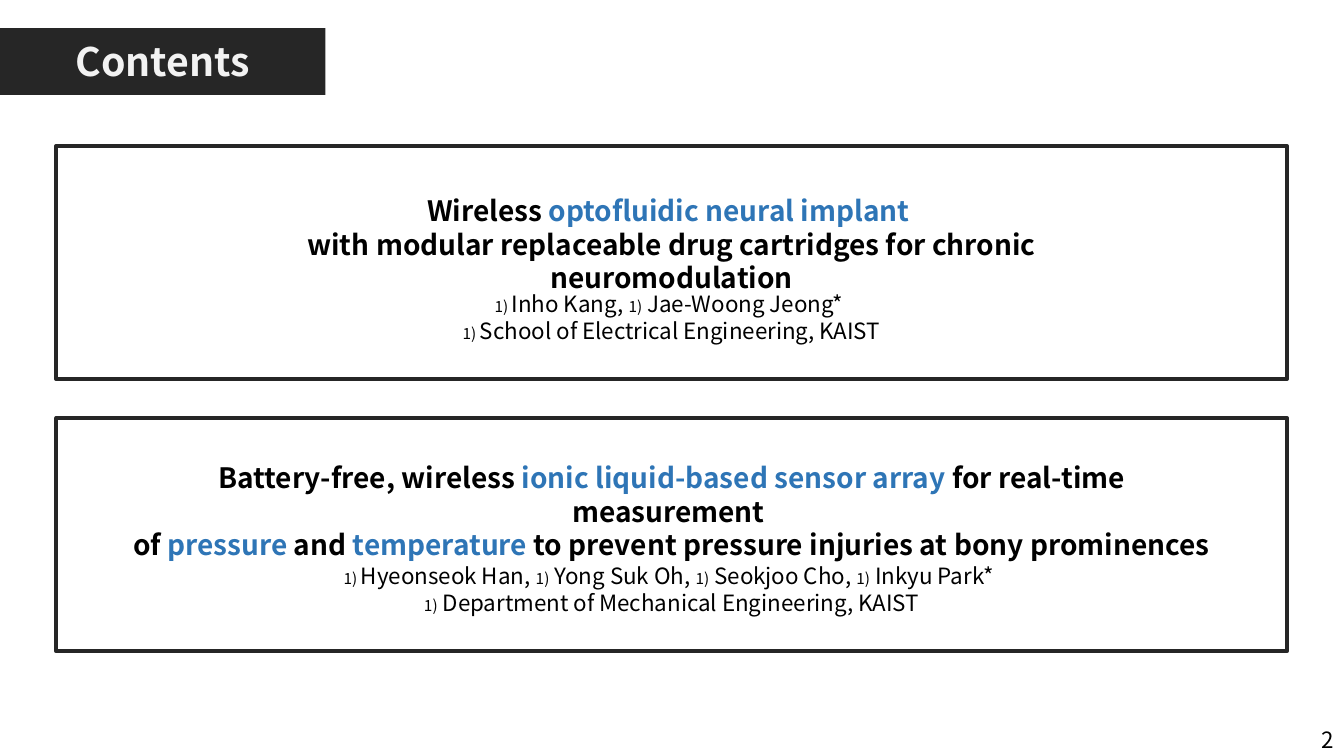
from pptx import Presentation
from pptx.dml.color import RGBColor
from pptx.enum.shapes import MSO_SHAPE
from pptx.enum.text import MSO_AUTO_SIZE, PP_ALIGN
from pptx.util import Cm, Pt

FONT = "Noto Sans CJK KR"
DARK, BLACK, BLUE, PALE = "262626", "000000", "2E75B6", "F2F2F2"

HEADING = {"size": Pt(28), "bold": True, "color": PALE}
TITLE = {"size": Pt(20), "bold": True, "color": BLACK}
TITLE_ACCENT = {**TITLE, "color": BLUE}
AUTHOR = {"size": Pt(16), "color": BLACK}
AUTHOR_MARK = {**AUTHOR, "size": Pt(11)}

# Pieces between bars take the second style of their text box.
TALKS = [
    {
        "title": ["Wireless |optofluidic neural implant |",
                  "with modular replaceable drug cartridges for chronic neuromodulation"],
        "title_top": 1.07,
        "title_width": 24.77,
        "authors": ["|1) |Inho Kang, |1)| Jae-Woong Jeong* ",
                    "|1) |School of Electrical Engineering, KAIST"],
    },
    {
        "title": ["Battery-free, wireless |ionic liquid-based sensor array |for real-time measurement ",
                  "of |pressure |and| temperature |to prevent pressure injuries at bony prominences"],
        "title_top": 0.94,
        "title_width": 28.12,
        "authors": ["|1) |Hyeonseok Han, |1)| Yong Suk Oh, |1)| Seokjoo Cho, |1)| Inkyu Park* ",
                    "|1)| Department of Mechanical Engineering, KAIST"],
    },
]


def rgb(value):
    return RGBColor.from_string(value)


def add_rectangle(shapes, left, top, width, height):
    box = shapes.add_shape(MSO_SHAPE.RECTANGLE, Cm(left), Cm(top), Cm(width), Cm(height))
    box.shadow.inherit = False
    return box


def add_text(shapes, left, top, width, height, lines, style, accent=None,
             align=PP_ALIGN.CENTER, wrap=True):
    """Add a text box whose bar-separated pieces alternate between two styles."""
    box = shapes.add_textbox(Cm(left), Cm(top), Cm(width), Cm(height))
    frame = box.text_frame
    frame.word_wrap = wrap
    frame.auto_size = MSO_AUTO_SIZE.SHAPE_TO_FIT_TEXT
    for number, line in enumerate(lines):
        para = frame.add_paragraph() if number else frame.paragraphs[0]
        para.alignment = align
        for position, piece in enumerate(line.split("|")):
            if not piece:
                continue
            span = para.add_run()
            span.text = piece
            span.font.name = FONT
            for name, value in (accent if position % 2 else style).items():
                if name == "color":
                    span.font.color.rgb = rgb(value)
                else:
                    setattr(span.font, name, value)
    return box


def add_header(page, left, top, width, height):
    shapes = page.shapes.add_group_shape().shapes
    bar = add_rectangle(shapes, left, top, width, height)
    bar.fill.solid()
    bar.fill.fore_color.rgb = rgb(DARK)
    bar.line.fill.background()
    add_text(shapes, left + 0.28, top + 0.1, width - 0.56, 1.45, ["Contents"], HEADING)


def add_talk(page, talk, left, top, width, height):
    frame = add_rectangle(page.shapes, left, top, width, height)
    frame.fill.background()
    frame.line.color.rgb = rgb(DARK)
    frame.line.width = Pt(3)
    middle = left + width / 2
    for lines, offset, text_width, text_height, style, accent in (
        (talk["title"], talk["title_top"], talk["title_width"], 1.96, TITLE, TITLE_ACCENT),
        (talk["authors"], 3.5, 26.59, 1.63, AUTHOR, AUTHOR_MARK),
    ):
        add_text(page.shapes, middle - text_width / 2, top + offset,
                 text_width, text_height, lines, style, accent)


def add_page_number(page, left, top, width, height):
    box = add_text(page.shapes, left, top, width, height, ["2"], AUTHOR,
                   align=PP_ALIGN.RIGHT, wrap=False)
    box.text_frame.paragraphs[0].line_spacing = 1.3


def main():
    deck = Presentation()
    deck.slide_width, deck.slide_height = Cm(33.87), Cm(19.05)
    page = deck.slides.add_slide(deck.slide_layouts[6])
    add_header(page, 0, 0.71, 8.2, 1.68)
    for number, talk in enumerate(TALKS):
        add_talk(page, talk, 1.42, 3.68 + number * 6.86, 31.01, 5.87)
    add_page_number(page, 33.02, 17.96, 0.84, 1.09)
    deck.save("out.pptx")


if __name__ == "__main__":
    main()
